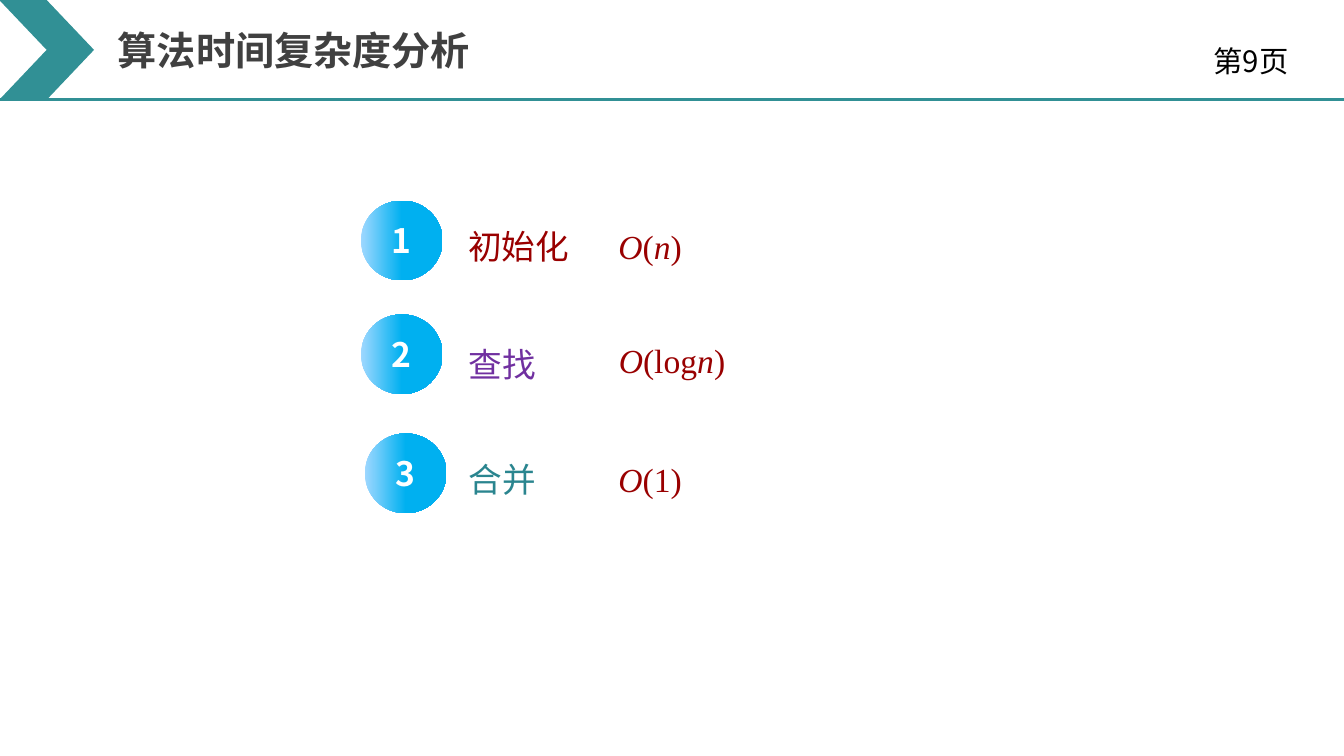
from dataclasses import dataclass

from lxml import etree
from pptx import Presentation
from pptx import util as u
from pptx.dml.color import RGBColor
from pptx.enum import shapes, text
from pptx.oxml.ns import qn


@dataclass(frozen=True)
class Theme:
    """Colours, fonts and type sizes of the slide."""
    teal: str = "319095"
    title: str = "404040"
    black: str = "000000"
    white: str = "FFFFFF"
    red: str = "990000"
    purple: str = "7030A0"
    dark_teal: str = "2A858F"
    pale_blue: str = "9FD8FF"
    blue: str = "00B0F0"
    sans: str = "Noto Sans CJK SC"
    serif: str = "Times New Roman"
    title_size: float = 28
    page_size: float = 21
    body_size: float = 24


THEME = Theme()
STEPS = [
    ("1", "初始化", THEME.red, ["O", "(", "n", ")"]),
    ("2", "查找", THEME.purple, ["O", "(log", "n", ")"]),
    ("3", "合并", THEME.dark_teal, ["O", "(1)"]),
]
ROW_BOXES = [
    (257.8, 143.3, 268, 57),
    (257.8, 224.6, 268, 57),
    (260.6, 309.6, 265.2, 57),
]
LABEL_LEFT, FORMULA_LEFT = 326.9, 434.2
LABEL_WIDTHS = {2: 63.4, 3: 87.1}


def style_run(run, size, color, font=THEME.sans, bold=False, italic=False):
    """Format one run, including its East Asian font."""
    run.font.size = u.Pt(size)
    run.font.bold = bold
    run.font.italic = italic
    run.font.color.rgb = RGBColor.from_string(color)
    run.font.name = font
    east_asian = etree.SubElement(run.font._element, qn("a:ea"))
    east_asian.set("typeface", font)


def add_text(slide, box, pieces, size, color, font=THEME.sans, centred=False, wrap=True):
    """Add a one-line text box; single Latin letters are set in italics."""
    shape = slide.shapes.add_textbox(*map(u.Pt, box))
    frame = shape.text_frame
    frame.word_wrap = wrap
    paragraph = frame.paragraphs[0]
    if centred:
        frame.auto_size = text.MSO_AUTO_SIZE.SHAPE_TO_FIT_TEXT
        paragraph.alignment = text.PP_ALIGN.CENTER
        paragraph.line_spacing = 1.5
    for piece in pieces:
        run = paragraph.add_run()
        run.text = piece
        style_run(run, size, color, font, italic=piece in ("O", "n"))


def add_header(slide, box, title, page):
    """Draw the rule, chevron, title and page number of the header band."""
    left, top, width, height = box
    rule = slide.shapes.add_connector(
        shapes.MSO_CONNECTOR.STRAIGHT,
        u.Pt(left), u.Pt(top + height), u.Pt(left + width), u.Pt(top + height))
    rule.line.color.rgb = RGBColor.from_string(THEME.teal)
    rule.line.width = u.Pt(2.25)
    etree.SubElement(rule._element.spPr, qn("a:effectLst"))

    chevron = slide.shapes.add_shape(
        shapes.MSO_SHAPE.CHEVRON, u.Pt(left - 0.5), u.Pt(top), u.Pt(67.7), u.Pt(height))
    chevron.shadow.inherit = False
    chevron.fill.solid()
    chevron.fill.fore_color.rgb = RGBColor.from_string(THEME.teal)
    chevron.line.fill.background()

    heading = slide.shapes.title
    heading.left, heading.top = u.Pt(left + 77), u.Pt(top + 15.1)
    heading.width, heading.height = u.Pt(300.2), u.Pt(41.2)
    frame = heading.text_frame
    frame.text = title
    frame.word_wrap = True
    frame.vertical_anchor = text.MSO_ANCHOR.TOP
    frame.auto_size = text.MSO_AUTO_SIZE.SHAPE_TO_FIT_TEXT
    frame.paragraphs[0].alignment = text.PP_ALIGN.LEFT
    style_run(frame.paragraphs[0].runs[0], THEME.title_size, THEME.title, bold=True)

    add_text(slide, (left + width - 100.3, top + 27.4, 85.7, 28.8), [page],
             THEME.page_size, THEME.black)


def add_badge(slide, box, number):
    """Draw a numbered circle with a blue gradient."""
    badge = slide.shapes.add_shape(shapes.MSO_SHAPE.OVAL, *map(u.Pt, box))
    badge.shadow.inherit = False
    badge.line.fill.background()
    badge.fill.gradient()
    badge.fill.gradient_angle = 0
    stops = zip(badge.fill.gradient_stops, (0, 0.5), (THEME.pale_blue, THEME.blue))
    for stop, position, color in stops:
        stop.position = position
        stop.color.rgb = RGBColor.from_string(color)
    frame = badge.text_frame
    frame.text = number
    frame.vertical_anchor = text.MSO_ANCHOR.MIDDLE
    frame.paragraphs[0].alignment = text.PP_ALIGN.CENTER
    style_run(frame.paragraphs[0].runs[0], THEME.body_size, THEME.white, bold=True)


def add_step(slide, box, number, label, color, formula):
    """Place a badge, a step name and its complexity in one row."""
    left, top, width, height = box
    add_badge(slide, (left, top, 58.3, height), number)
    label_top = top + 2.9 if number == "2" else top
    add_text(slide, (LABEL_LEFT, label_top, LABEL_WIDTHS[len(label)], 46), [label],
             THEME.body_size, color, centred=True, wrap=False)
    formula_width = left + width - FORMULA_LEFT if "(log" in formula else 60.5
    add_text(slide, (FORMULA_LEFT, top, formula_width, 45.4), formula,
             THEME.body_size, THEME.red, THEME.serif, centred=True, wrap=False)


def main():
    """Build and save the slide."""
    presentation = Presentation()
    presentation.slide_width, presentation.slide_height = u.Pt(960), u.Pt(540)
    slide = presentation.slides.add_slide(presentation.slide_layouts[5])
    add_header(slide, (0, 0, 960, 71.3), "算法时间复杂度分析", "第9页")
    for box, step in zip(ROW_BOXES, STEPS):
        add_step(slide, box, *step)
    presentation.save("out.pptx")


if __name__ == "__main__":
    main()
